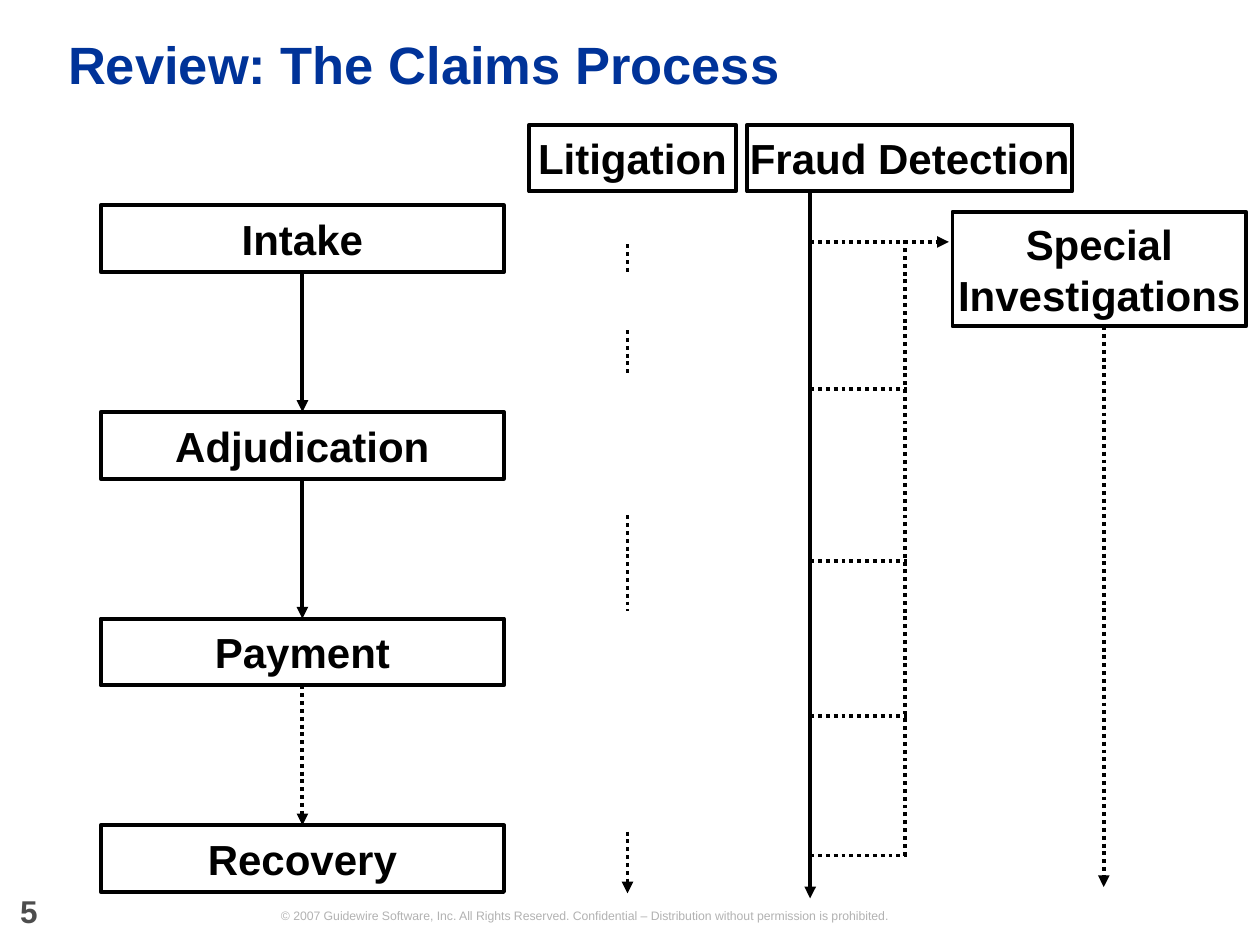
from dataclasses import dataclass

from lxml.etree import SubElement
from pptx import Presentation
from pptx.dml.color import RGBColor
from pptx.enum.dml import MSO_LINE
from pptx.enum.shapes import MSO_CONNECTOR, MSO_SHAPE
from pptx.enum.text import MSO_ANCHOR, PP_ALIGN
from pptx.oxml.ns import qn
from pptx.util import Inches, Pt


@dataclass(frozen=True)
class Theme:
    font: str = "Arial"
    ink: str = "000000"
    title: str = "003399"
    number: str = "4D4D4D"
    footer: str = "B2B2B2"
    title_size: float = 30
    box_size: float = 24
    number_size: float = 18
    footer_size: float = 7
    line_width: float = 2.25


THEME = Theme()

TITLE = "Review: The Claims Process"
FOOTER = (
    "© 2007 Guidewire Software, Inc. All Rights Reserved. "
    "Confidential – Distribution without permission is prohibited."
)
PAGE_NUMBER = "5"

STEPS = ["Intake", "Adjudication", "Payment", "Recovery"]
STEP_LEFT, STEP_TOP, STEP_WIDTH, STEP_PITCH = 0.8, 1.63, 3.2, 1.64
BOX_HEIGHT = 0.53

SIDE_BOXES = [
    ("Litigation", 4.2, 0.99, 1.64, BOX_HEIGHT),
    ("Fraud Detection", 5.93, 0.99, 2.58, BOX_HEIGHT),
    ("Special Investigations", 7.56, 1.68, 2.33, 0.91),
]

LITIGATION_X = 4.98
LITIGATION_DASHES = [(1.94, 2.16), (2.62, 2.98), (4.09, 4.85)]
LITIGATION_END = (6.6, 7.09)

FRAUD_X, FRAUD_TOP, FRAUD_BOTTOM = 6.43, 1.52, 7.13
REFERRAL_X, REFERRAL_Y, REFERRAL_END = 7.18, 1.92, 7.53
REFERRAL_BRANCHES = [3.09, 4.45, 5.68, 6.79]
INVESTIGATION_X, INVESTIGATION_TOP, INVESTIGATION_BOTTOM = 8.76, 2.59, 7.04


def write(shape, text, size, color, bold=True, align=PP_ALIGN.LEFT, anchor=MSO_ANCHOR.MIDDLE):
    frame = shape.text_frame
    frame.margin_left = frame.margin_right = frame.margin_top = frame.margin_bottom = 0
    frame.word_wrap = True
    frame.vertical_anchor = anchor
    paragraph = frame.paragraphs[0]
    paragraph.alignment = align
    run = paragraph.add_run()
    run.text = text
    run.font.name = THEME.font
    run.font.size = Pt(size)
    run.font.bold = bold
    run.font.color.rgb = RGBColor.from_string(color)
    return paragraph


def style_line(line):
    line.color.rgb = RGBColor.from_string(THEME.ink)
    line.width = Pt(THEME.line_width)


def add_box(slide, text, left, top, width, height):
    box = slide.shapes.add_shape(
        MSO_SHAPE.RECTANGLE, Inches(left), Inches(top), Inches(width), Inches(height)
    )
    box.shadow.inherit = False
    box.fill.background()
    style_line(box.line)
    write(box, text, THEME.box_size, THEME.ink, align=PP_ALIGN.CENTER)
    return box


def add_line(slide, start, end, dotted=True, arrow=False):
    connector = slide.shapes.add_connector(
        MSO_CONNECTOR.STRAIGHT, *(Inches(value) for value in (*start, *end))
    )
    style_line(connector.line)
    if dotted:
        connector.line.dash_style = MSO_LINE.ROUND_DOT
    properties = connector._element.spPr
    if arrow:
        SubElement(properties.find(qn("a:ln")), qn("a:tailEnd"), type="triangle")
    SubElement(properties, qn("a:effectLst"))
    return connector


def add_process(slide):
    boxes = [
        add_box(slide, step, STEP_LEFT, STEP_TOP + index * STEP_PITCH, STEP_WIDTH, BOX_HEIGHT)
        for index, step in enumerate(STEPS)
    ]
    for index, (upper, lower) in enumerate(zip(boxes, boxes[1:])):
        is_last = index == len(boxes) - 2
        arrow = add_line(slide, (0, 0), (0, 0), dotted=is_last, arrow=True)
        arrow.begin_connect(upper, 2)
        arrow.end_connect(lower, 0)


def add_side_tracks(slide):
    for side_box in SIDE_BOXES:
        add_box(slide, *side_box)

    for top, bottom in LITIGATION_DASHES:
        add_line(slide, (LITIGATION_X, top), (LITIGATION_X, bottom))
    top, bottom = LITIGATION_END
    add_line(slide, (LITIGATION_X, top), (LITIGATION_X, bottom), arrow=True)

    add_line(slide, (FRAUD_X, FRAUD_TOP), (FRAUD_X, FRAUD_BOTTOM), dotted=False, arrow=True)
    add_line(slide, (FRAUD_X, REFERRAL_Y), (REFERRAL_END, REFERRAL_Y), arrow=True)
    for y in REFERRAL_BRANCHES:
        add_line(slide, (FRAUD_X, y), (REFERRAL_X + 0.02, y))
    add_line(slide, (REFERRAL_X, REFERRAL_BRANCHES[-1]), (REFERRAL_X, REFERRAL_Y - 0.02))
    add_line(
        slide,
        (INVESTIGATION_X, INVESTIGATION_TOP),
        (INVESTIGATION_X, INVESTIGATION_BOTTOM),
        arrow=True,
    )


def add_footer(slide):
    footer = slide.shapes.add_textbox(Inches(1.19), Inches(7.21), Inches(6.9), Inches(0.12))
    write(footer, FOOTER, THEME.footer_size, THEME.footer, bold=False, align=PP_ALIGN.CENTER)
    number = slide.shapes.add_textbox(Inches(0.16), Inches(7.13), Inches(0.57), Inches(0.25))
    paragraph = write(
        number, PAGE_NUMBER, THEME.number_size, THEME.number, anchor=MSO_ANCHOR.TOP
    )
    paragraph.line_spacing = Pt(18)


def main():
    presentation = Presentation()
    presentation.slide_width, presentation.slide_height = Inches(10), Inches(7.5)
    slide = presentation.slides.add_slide(presentation.slide_layouts[5])

    title = slide.shapes.title
    title.left, title.top = Inches(0.54), Inches(0.13)
    title.width, title.height = Inches(9.1), Inches(0.81)
    write(title, TITLE, THEME.title_size, THEME.title).line_spacing = 0.9

    add_process(slide)
    add_side_tracks(slide)
    add_footer(slide)
    presentation.save("out.pptx")


if __name__ == "__main__":
    main()
